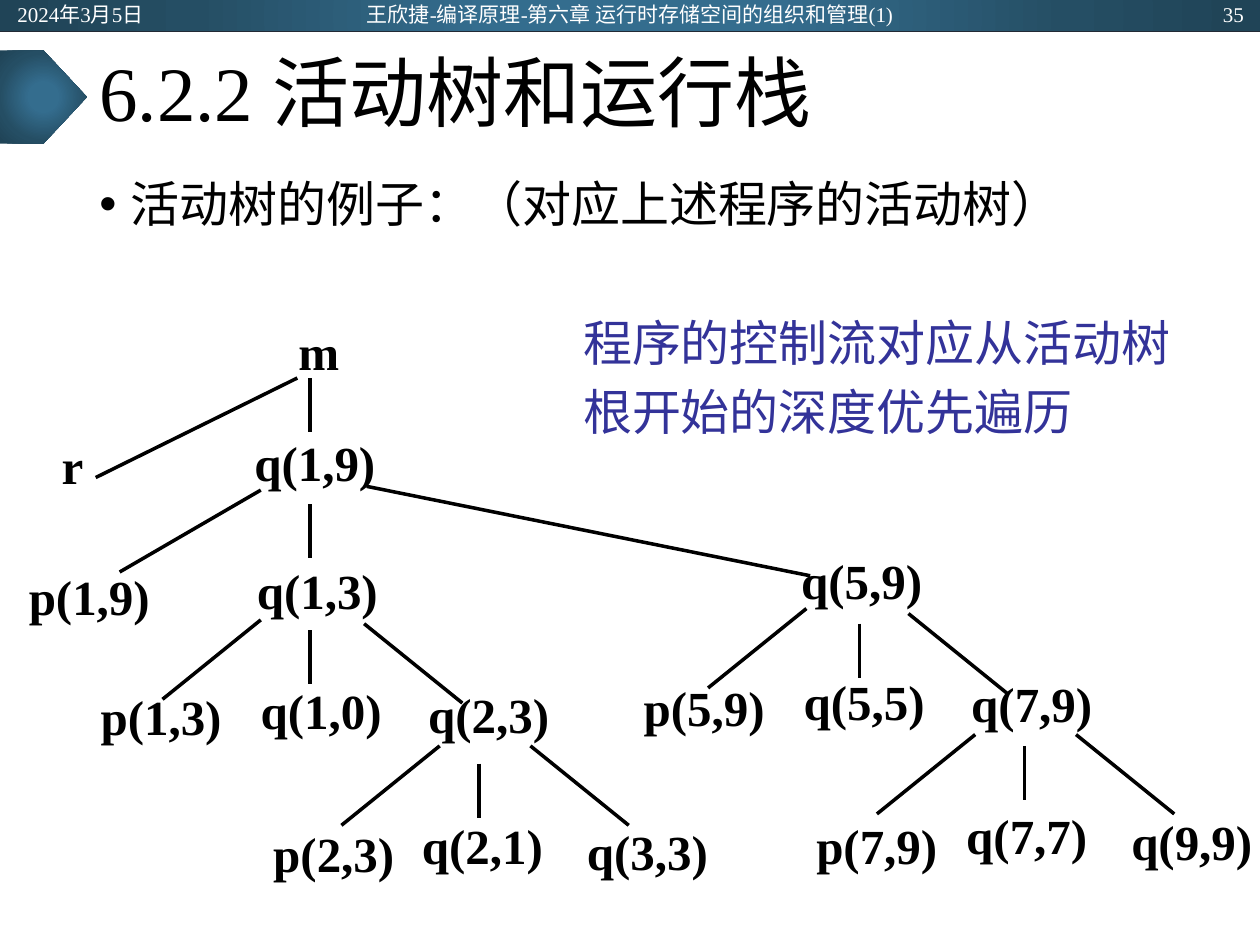
from dataclasses import dataclass

import pptx
import pptx.dml.color
import pptx.enum.shapes
import pptx.enum.text
import pptx.oxml
import pptx.oxml.ns
import pptx.util
from pptx.util import Inches

COLORS = {"black": "000000", "white": "FFFFFF", "note": "333399", "rule": "222A35"}
GRADIENT_STOPS = [(0, "346D8E"), (23, "346D8E"), (69, "254E64"), (97, "204457")]
LATIN_FONT = "Times New Roman"
CHINESE_FONT = "Noto Sans CJK SC"
ALIGN = pptx.enum.text.PP_ALIGN
ANCHOR = pptx.enum.text.MSO_ANCHOR
SHAPES = pptx.enum.shapes.MSO_SHAPE


@dataclass
class Node:
    label: str
    left: float
    top: float
    width: float = 1.25
    height: float = 0.76


@dataclass
class Branch:
    left: float
    top: float
    step: tuple[float, float]


DOWN, DOWN_LEFT, DOWN_RIGHT = (0, 0.43), (-0.78, 0.63), (0.78, 0.63)

NODES = [
    Node("m", 2.27, 2.5, 0.64, 0.66),
    Node("r", 0.39, 3.41, 0.63, 0.66),
    Node("q(1,9)", 1.92, 3.38),
    Node("p(1,9)", 0.13, 4.45),
    Node("q(1,3)", 1.94, 4.4),
    Node("q(5,9)", 6.26, 4.32),
    Node("p(1,3)", 0.7, 5.4),
    Node("q(1,0)", 1.97, 5.35),
    Node("q(2,3)", 3.3, 5.38),
    Node("p(5,9)", 5.01, 5.33),
    Node("q(5,5)", 6.28, 5.28),
    Node("q(7,9)", 7.61, 5.3),
    Node("p(2,3)", 2.07, 6.49),
    Node("q(2,1)", 3.25, 6.42),
    Node("q(3,3)", 4.56, 6.47),
    Node("p(7,9)", 6.38, 6.42),
    Node("q(7,7)", 7.57, 6.34),
    Node("q(9,9)", 8.88, 6.39),
]

BRANCHES = [
    # from m
    Branch(2.36, 3, (-1.6, 0.79)),
    Branch(2.46, 3, DOWN),
    # from q(1,9)
    Branch(2.07, 3.89, (-1.12, 0.65)),
    Branch(2.46, 4, DOWN),
    Branch(2.91, 3.86, (3.52, 0.71)),
    # from q(1,3)
    Branch(2.07, 4.92, DOWN_LEFT),
    Branch(2.46, 5, DOWN),
    Branch(2.89, 4.95, DOWN_RIGHT),
    # from q(5,9)
    Branch(6.4, 4.83, DOWN_LEFT),
    Branch(6.82, 4.95, DOWN),
    Branch(7.21, 4.87, DOWN_RIGHT),
    # from q(2,3)
    Branch(3.49, 5.92, DOWN_LEFT),
    Branch(3.8, 6.06, DOWN),
    Branch(4.21, 5.92, DOWN_RIGHT),
    # from q(7,9)
    Branch(7.74, 5.83, DOWN_LEFT),
    Branch(8.13, 5.92, DOWN),
    Branch(8.54, 5.83, DOWN_RIGHT),
]


def color(name: str) -> pptx.dml.color.RGBColor:
    return pptx.dml.color.RGBColor.from_string(COLORS[name])


def add_text(slide, lines: list[str], left: float, top: float, width: float, height: float,
             size: float, color_name: str = "black", align=ALIGN.LEFT, anchor=ANCHOR.TOP,
             bold: bool = False, line_spacing=None, wrap: bool = True):
    frame = slide.shapes.add_textbox(
        Inches(left), Inches(top), Inches(width), Inches(height)).text_frame
    frame.word_wrap = wrap
    frame.vertical_anchor = anchor
    for index, line in enumerate(lines):
        paragraph = frame.paragraphs[0] if index == 0 else frame.add_paragraph()
        run = paragraph.add_run()
        run.text = line
        paragraph.alignment = align
        paragraph.line_spacing = line_spacing
        font = run.font
        font.size = pptx.util.Pt(size)
        font.bold = bold
        font.name = LATIN_FONT
        font.color.rgb = color(color_name)
        east_asian = pptx.oxml.parse_xml(
            f'<a:ea {pptx.oxml.ns.nsdecls("a")} typeface="{CHINESE_FONT}"/>')
        run._r.get_or_add_rPr().find(pptx.oxml.ns.qn("a:latin")).addnext(east_asian)
    return frame


def add_line(slide, start: tuple[float, float], end: tuple[float, float],
             color_name: str, width: float) -> None:
    line = slide.shapes.add_connector(
        pptx.enum.shapes.MSO_CONNECTOR.STRAIGHT, *map(Inches, start + end))
    line.line.color.rgb = color(color_name)
    line.line.width = pptx.util.Pt(width)
    line._element.spPr.append(
        pptx.oxml.parse_xml(f'<a:effectLst {pptx.oxml.ns.nsdecls("a")}/>'))


def add_glow_shape(slide, kind, left: float, top: float, width: float, height: float) -> None:
    """Draw a borderless shape whose gradient spreads from its centre."""
    shape = slide.shapes.add_shape(
        kind, Inches(left), Inches(top), Inches(width), Inches(height))
    shape.shadow.inherit = False
    shape.line.fill.background()
    stops = "".join(f'<a:gs pos="{position * 1000}"><a:srgbClr val="{value}"/></a:gs>'
                    for position, value in GRADIENT_STOPS)
    gradient = pptx.oxml.parse_xml(
        f'<a:gradFill {pptx.oxml.ns.nsdecls("a")}><a:gsLst>{stops}</a:gsLst>'
        '<a:path path="circle"><a:fillToRect l="50000" t="50000" r="50000" b="50000"/>'
        '</a:path></a:gradFill>')
    shape._element.spPr.find(pptx.oxml.ns.qn("a:prstGeom")).addnext(gradient)


def add_header(slide) -> None:
    add_glow_shape(slide, SHAPES.RECTANGLE, 0, 0, 10, 0.25)
    add_line(slide, (0, 0.25), (10, 0.25), "rule", 0.5)
    for text, left, width, align in [
        ("2024年3月5日", 0.04, 2.25, ALIGN.LEFT),
        ("王欣捷-编译原理-第六章 运行时存储空间的组织和管理(1)", 2.58, 4.84, ALIGN.CENTER),
        ("35", 7.72, 2.25, ALIGN.RIGHT),
    ]:
        frame = add_text(slide, [text], left, 0.01, width, 0.2, 12, "white", align,
                         ANCHOR.MIDDLE)
        frame.margin_top = frame.margin_bottom = 0


def add_bullet(paragraph, indent: float) -> None:
    properties = paragraph._p.get_or_add_pPr()
    properties.set("marL", str(Inches(indent)))
    properties.set("indent", str(-Inches(indent)))
    for tag in ('buFont typeface="Arial"', 'buChar char="•"'):
        properties.append(pptx.oxml.parse_xml(f'<a:{tag} {pptx.oxml.ns.nsdecls("a")}/>'))


def main() -> None:
    presentation = pptx.Presentation()
    presentation.slide_width = Inches(10)
    presentation.slide_height = Inches(7.5)
    slide = presentation.slides.add_slide(presentation.slide_layouts[6])

    add_header(slide)
    add_glow_shape(slide, SHAPES.PENTAGON, 0, 0.4, 0.69, 0.74)
    add_text(slide, ["6.2.2 活动树和运行栈"], 0.69, 0.25, 8.62, 1.04, 44,
             anchor=ANCHOR.MIDDLE, line_spacing=0.9)
    body = add_text(slide, ["活动树的例子：（对应上述程序的活动树）"], 0.69, 1.38, 8.62, 5.38,
                    28, line_spacing=0.9)
    add_bullet(body.paragraphs[0], 0.25)

    for node in NODES:
        add_text(slide, [node.label], node.left, node.top, node.width, node.height, 28,
                 align=ALIGN.JUSTIFY, bold=True)
    for branch in BRANCHES:
        across, down = branch.step
        add_line(slide, (branch.left, branch.top),
                 (branch.left + across, branch.top + down), "black", 2)

    add_text(slide, ["程序的控制流对应从活动树", "根开始的深度优先遍历"], 4.53, 2.36, 4.87, 1.13,
             28, "note", ALIGN.JUSTIFY, line_spacing=pptx.util.Pt(39), wrap=False)
    presentation.save("out.pptx")


if __name__ == "__main__":
    main()
